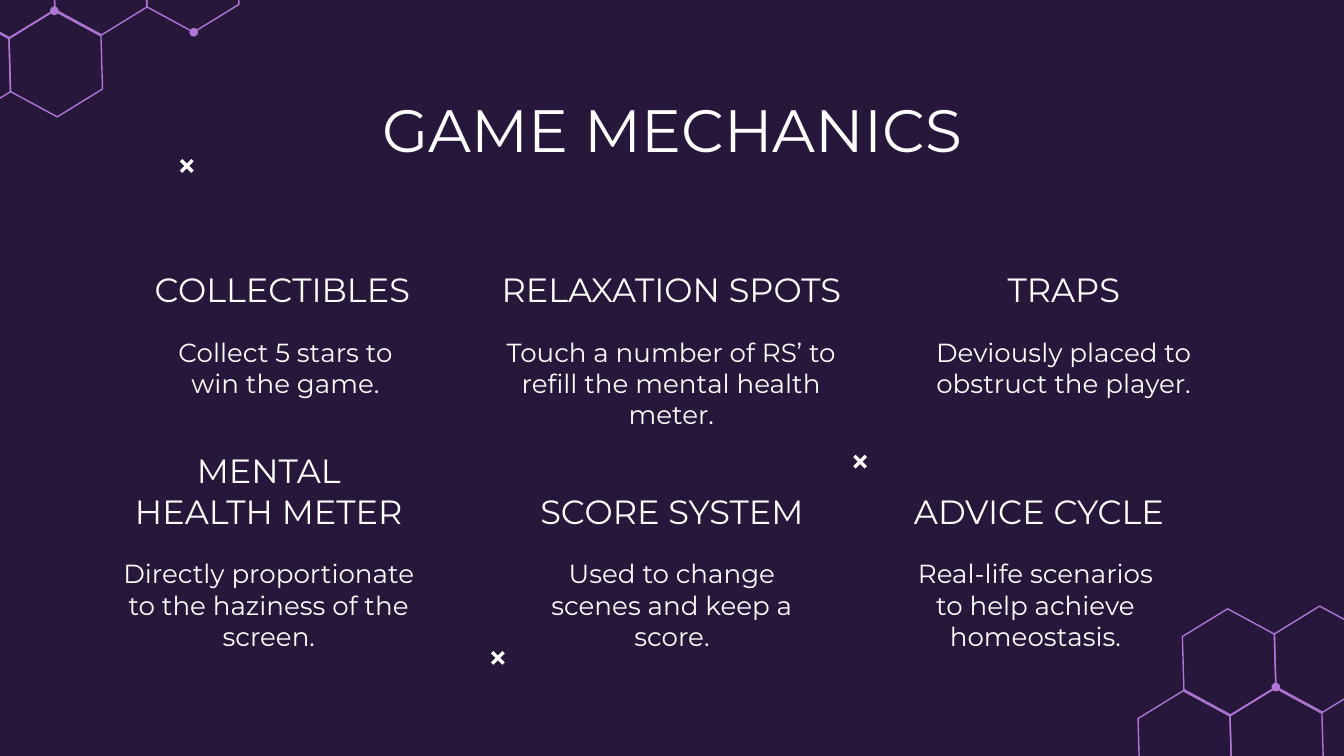
import math
from dataclasses import dataclass

import pptx
import pptx.dml.color
import pptx.enum.shapes
import pptx.enum.text
import pptx.util
from lxml import etree
from pptx.oxml.ns import qn

# Square grid: 100 columns by 56.25 rows
COLS, ROWS = 100, 56.25
UNIT = pptx.util.Inches(10) / COLS
FONT = "Montserrat"
NIGHT, LILAC, WHITE = "27173A", "AE77D6", "FFFFFF"
ANCHOR = pptx.enum.text.MSO_ANCHOR

# Honeycomb geometry
HEX_RADIUS, HEX_TURN = 3.95, 28.4
COL_STEP, ROW_STEP = (6.85, -0.2), (3.55, 5.9)
DOT_SIZE = 0.64

# Card rows
FIRST_ROW, ROW_PITCH = 19, 16.5
HEADING_H, BODY_H = 5, 5.3


@dataclass
class Span:
    left: float
    width: float


@dataclass
class Card:
    row: int
    heading: str
    body: str
    heading_span: Span
    body_span: Span


@dataclass
class Honeycomb:
    origin: tuple[float, float]
    cells: list[tuple[int, int]]  # column, row
    dots: list[tuple[int, int, int]]  # column, row, corner


CARDS = [
    Card(0, "COLLECTIBLES", "Collect 5 stars to win the game.",
         Span(9.9, 22.2), Span(10.4, 21.7)),
    Card(0, "RELAXATION SPOTS",
         "Touch a number of RS’ to refill the mental health meter.",
         Span(34.7, 30.5), Span(34.7, 30.5)),
    Card(0, "TRAPS", "Deviously placed to obstruct the player.",
         Span(68.3, 21.7), Span(68.3, 21.7)),
    Card(1, "MENTAL HEALTH METER",
         "Directly proportionate to the haziness of the screen.",
         Span(8.2, 23.6), Span(7.9, 24.2)),
    Card(1, "SCORE SYSTEM", "Used to change scenes and keep a score.",
         Span(38.6, 22.8), Span(38.6, 22.8)),
    Card(1, "ADVICE CYCLE", "Real-life scenarios to help achieve homeostasis.",
         Span(66.2, 22.2), Span(66.2, 21.7)),
]
HONEYCOMBS = [
    Honeycomb((0.6, -1.15), [(0, 0), (1, 0), (2, 0), (-1, 1), (0, 1)],
              [(0, 1, 4), (2, 0, 1)]),
    Honeycomb((91.45, 49.25), [(0, 0), (1, 0), (-1, 1), (0, 1)], [(0, 0, 0)]),
]
CROSSES = [(13.9, 12.35), (37.05, 48.95), (64, 34.35)]
CROSS_SIZE = 0.85


def u(n: float) -> int:
    return round(n * UNIT)


def rgb(colour: str) -> pptx.dml.color.RGBColor:
    return pptx.dml.color.RGBColor.from_string(colour)


def write(sp, text: str, size: float, anchor) -> None:
    tf = sp.text_frame
    tf.text = text
    tf.word_wrap = True
    tf.auto_size = pptx.enum.text.MSO_AUTO_SIZE.NONE
    tf.vertical_anchor = anchor
    tf.margin_left = tf.margin_right = tf.margin_top = tf.margin_bottom = u(1)
    p = tf.paragraphs[0]
    p.alignment = pptx.enum.text.PP_ALIGN.CENTER
    r = p.runs[0]
    r.font.name, r.font.size = FONT, pptx.util.Pt(size)
    r.font.color.rgb = rgb(WHITE)


def add_text(s, span: Span, top: float, height: float, text: str, size: float,
             anchor) -> None:
    sp = s.shapes.add_textbox(u(span.left), u(top), u(span.width), u(height))
    write(sp, text, size, anchor)


def add_card(s, card: Card) -> None:
    top = FIRST_ROW + card.row * ROW_PITCH
    add_text(s, card.heading_span, top, HEADING_H, card.heading, 18, ANCHOR.BOTTOM)
    add_text(s, card.body_span, top + HEADING_H, BODY_H, card.body, 14, ANCHOR.TOP)


def corners(comb: Honeycomb, col: int, row: int) -> list[tuple[float, float]]:
    x, y = (o + col * c + row * r
            for o, c, r in zip(comb.origin, COL_STEP, ROW_STEP))
    angles = [math.radians(HEX_TURN + 60 * k) for k in range(6)]
    return [(x + HEX_RADIUS * math.cos(a), y + HEX_RADIUS * math.sin(a))
            for a in angles]


def add_honeycomb(s, comb: Honeycomb) -> None:
    group = s.shapes.add_group_shape()
    for col, row in comb.cells:
        points = [(u(x), u(y)) for x, y in corners(comb, col, row)]
        builder = group.shapes.build_freeform(*points[0])
        builder.add_line_segments(points[1:], close=True)
        sp = builder.convert_to_shape()
        sp.shadow.inherit = False
        sp.fill.background()
        sp.line.color.rgb = rgb(LILAC)
        sp.line.width = pptx.util.Pt(0.75)
    for col, row, corner in comb.dots:
        x, y = corners(comb, col, row)[corner]
        sp = group.shapes.add_shape(
            pptx.enum.shapes.MSO_SHAPE.OVAL,
            u(x - DOT_SIZE / 2), u(y - DOT_SIZE / 2), u(DOT_SIZE), u(DOT_SIZE))
        sp.shadow.inherit = False
        sp.fill.solid()
        sp.fill.fore_color.rgb = rgb(LILAC)
        sp.line.fill.background()


def add_cross(s, x: float, y: float) -> None:
    group = s.shapes.add_group_shape()
    half = CROSS_SIZE / 2
    for rise in (half, -half):
        line = group.shapes.add_connector(
            pptx.enum.shapes.MSO_CONNECTOR.STRAIGHT,
            u(x - half), u(y + rise), u(x + half), u(y - rise))
        line.line.color.rgb = rgb(WHITE)
        line.line.width = pptx.util.Pt(1.84)
        etree.SubElement(line._element.spPr, qn("a:effectLst"))


def main() -> None:
    prs = pptx.Presentation()
    prs.slide_width, prs.slide_height = u(COLS), u(ROWS)
    s = prs.slides.add_slide(prs.slide_layouts.get_by_name("Title Only"))
    s.background.fill.solid()
    s.background.fill.fore_color.rgb = rgb(NIGHT)

    # Corner decoration
    for comb in HONEYCOMBS:
        add_honeycomb(s, comb)

    # Title
    title = s.shapes.title
    title.left, title.top, title.width, title.height = map(u, (7.9, 5.9, 84.3, 6.3))
    write(title, "GAME MECHANICS", 32, ANCHOR.TOP)

    # Mechanics and scattered crosses
    for card in CARDS:
        add_card(s, card)
    for x, y in CROSSES:
        add_cross(s, x, y)

    prs.save("out.pptx")


if __name__ == "__main__":
    main()
